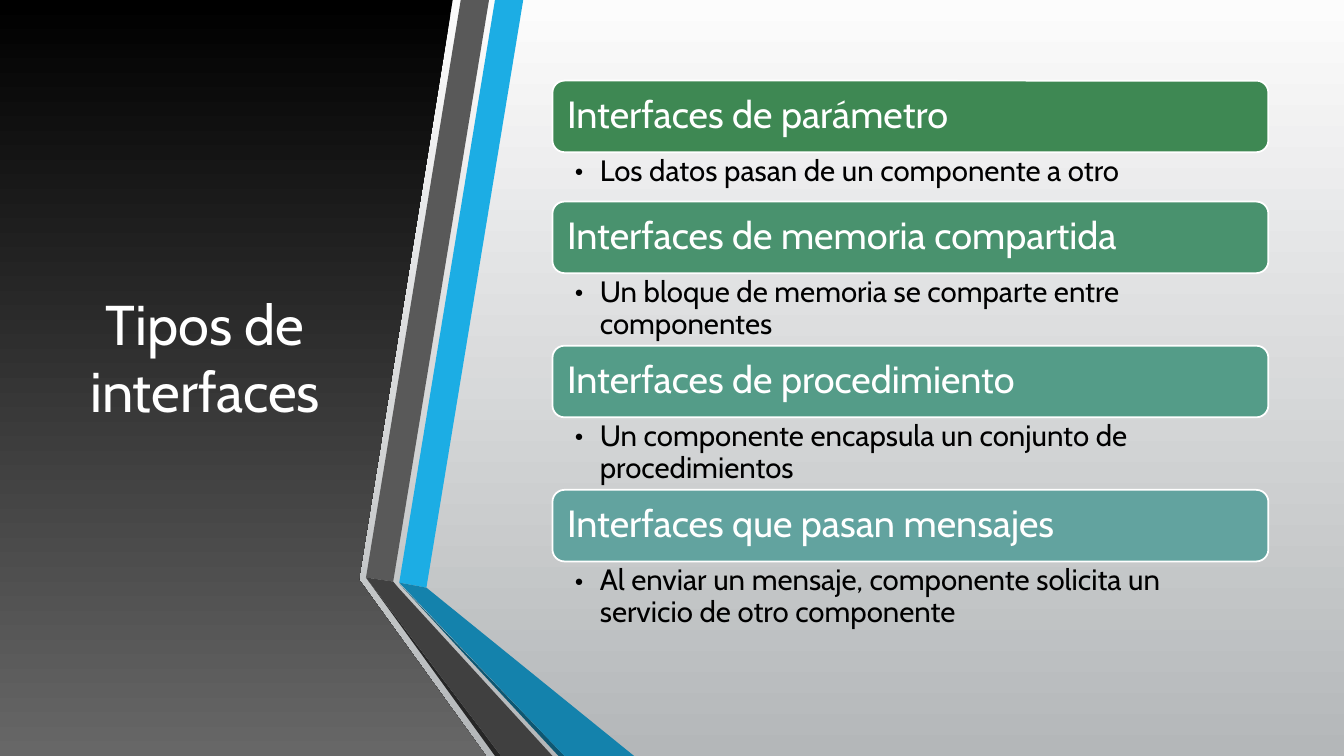
"""Build the slide on interface types: a dark title panel, a folded ribbon and four headed points."""
from lxml.etree import SubElement
from pptx import Presentation
from pptx.dml.color import RGBColor
from pptx.enum.shapes import MSO_SHAPE as Preset
from pptx.enum.text import MSO_ANCHOR as Anchor, MSO_AUTO_SIZE as AutoSize, PP_ALIGN as Align
from pptx.oxml.ns import qn
from pptx.util import Inches, Pt

WIDTH, HEIGHT = 13.33, 7.5
LEFT, COLUMN = 5.48, 7.1
TOP, BAR = 0.8, 0.71
DETAIL = {1: 0.49, 2: 0.72}
UNITS = 100
TITLE = {"size": 40, "color": "FFFFFF", "align": Align.CENTER, "spacing": 1.0,
         "frame": {"vertical_anchor": Anchor.MIDDLE}}
HEADING = {"size": 27, "color": "FFFFFF", "align": Align.LEFT, "spacing": 0.9,
           "frame": {"vertical_anchor": Anchor.MIDDLE,
                     "margin_left": Inches(0.11), "margin_right": Inches(0.11)}}
POINT = {"size": 21, "color": "000000", "align": Align.LEFT, "spacing": 0.9, "bullet": "•",
         "frame": {"vertical_anchor": Anchor.TOP,
                   "margin_left": Inches(0.22), "margin_right": Inches(0.21),
                   "margin_top": Inches(0.04), "margin_bottom": Inches(0.04)}}


def paint(fill, *colors):
    """Fill with one colour, or with a gradient from top to bottom."""
    if len(colors) == 1:
        fill.solid()
        fill.fore_color.rgb = RGBColor.from_string(colors[0])
        return
    fill.gradient()
    fill.gradient_angle = 270
    for stop, color in zip(fill.gradient_stops, colors):
        stop.color.rgb = RGBColor.from_string(color)


def write(shape, text, style):
    """Put one formatted paragraph into a shape."""
    frame = shape.text_frame
    frame.word_wrap, frame.auto_size = True, AutoSize.NONE
    for name, value in style["frame"].items():
        setattr(frame, name, value)
    paragraph = frame.paragraphs[0]
    paragraph.text = text
    paragraph.alignment, paragraph.line_spacing = style["align"], style["spacing"]
    if "bullet" in style:
        properties = paragraph._p.get_or_add_pPr()
        properties.set("marL", str(Inches(0.25)))
        properties.set("indent", str(-Inches(0.25)))
        SubElement(properties, qn("a:buFont"), typeface="Cabin")
        SubElement(properties, qn("a:buChar"), char=style["bullet"])
    font = paragraph.runs[0].font
    font.name, font.size = "Cabin", Pt(style["size"])
    font.color.rgb = RGBColor.from_string(style["color"])


presentation = Presentation()
presentation.slide_width, presentation.slide_height = Inches(WIDTH), Inches(HEIGHT)
slide = presentation.slides.add_slide(presentation.slide_layouts[5])
paint(slide.background.fill, "FCFCFC", "B4B7B9")

panel = [(0, 0), (4.49, 0), (3.56, 5.75), (4.82, HEIGHT), (0, HEIGHT)]
ribbon = [
    (["1CADE4"], [(3.96, 5.78), (4.23, 5.83), (5.19, 0), (4.91, 0)]),
    (["595959"], [(4.85, 0), (4.57, 0), (3.63, 5.73), (3.9, 5.77)]),
    (["262626"], [(3.63, 5.73), (4.91, HEIGHT), (4.97, HEIGHT)]),
    (["0E5772"], [(3.96, 5.79), (5.54, HEIGHT), (5.6, HEIGHT)]),
    (["1482AC"], [(3.96, 5.78), (5.6, HEIGHT), (6.29, HEIGHT), (4.23, 5.83)]),
    (["404040"], [(5.48, HEIGHT), (3.95, 5.83), (3.9, 5.77), (3.63, 5.73), (4.97, HEIGHT)]),
]
for colors, points in [(["000000", "676767"], panel)] + ribbon:
    corners = [(round(x * UNITS), round(y * UNITS)) for x, y in points]
    builder = slide.shapes.build_freeform(*corners[0], scale=Inches(1) / UNITS)
    builder.add_line_segments(corners[1:], close=True)
    outline = builder.convert_to_shape()
    outline.shadow.inherit = False
    outline.line.fill.background()
    paint(outline.fill, *colors)

title = slide.shapes.title
title.left, title.top, title.width, title.height = map(Inches, (0.59, 0.75, 2.89, 5.58))
write(title, "Tipos de interfaces", TITLE)
slide.shapes._spTree.append(title._element)

interfaces = [
    ("3E8853", "Interfaces de parámetro", "Los datos pasan de un componente a otro", 1),
    ("49926E", "Interfaces de memoria compartida",
     "Un bloque de memoria se comparte entre componentes", 2),
    ("549C88", "Interfaces de procedimiento",
     "Un componente encapsula un conjunto de procedimientos", 2),
    ("62A39F", "Interfaces que pasan mensajes",
     "Al enviar un mensaje, componente solicita un servicio de otro componente", 2),
]
top = TOP
for color, heading, point, lines in interfaces:
    bar = slide.shapes.add_shape(Preset.ROUNDED_RECTANGLE, *map(Inches, (LEFT, top, COLUMN, BAR)))
    bar.shadow.inherit = False
    paint(bar.fill, color)
    paint(bar.line.fill, "FFFFFF")
    bar.line.width = Pt(1.25)
    write(bar, heading, HEADING)
    detail = slide.shapes.add_textbox(*map(Inches, (LEFT, top + BAR, COLUMN, DETAIL[lines])))
    write(detail, point, POINT)
    top += BAR + DETAIL[lines]

presentation.save("out.pptx")
